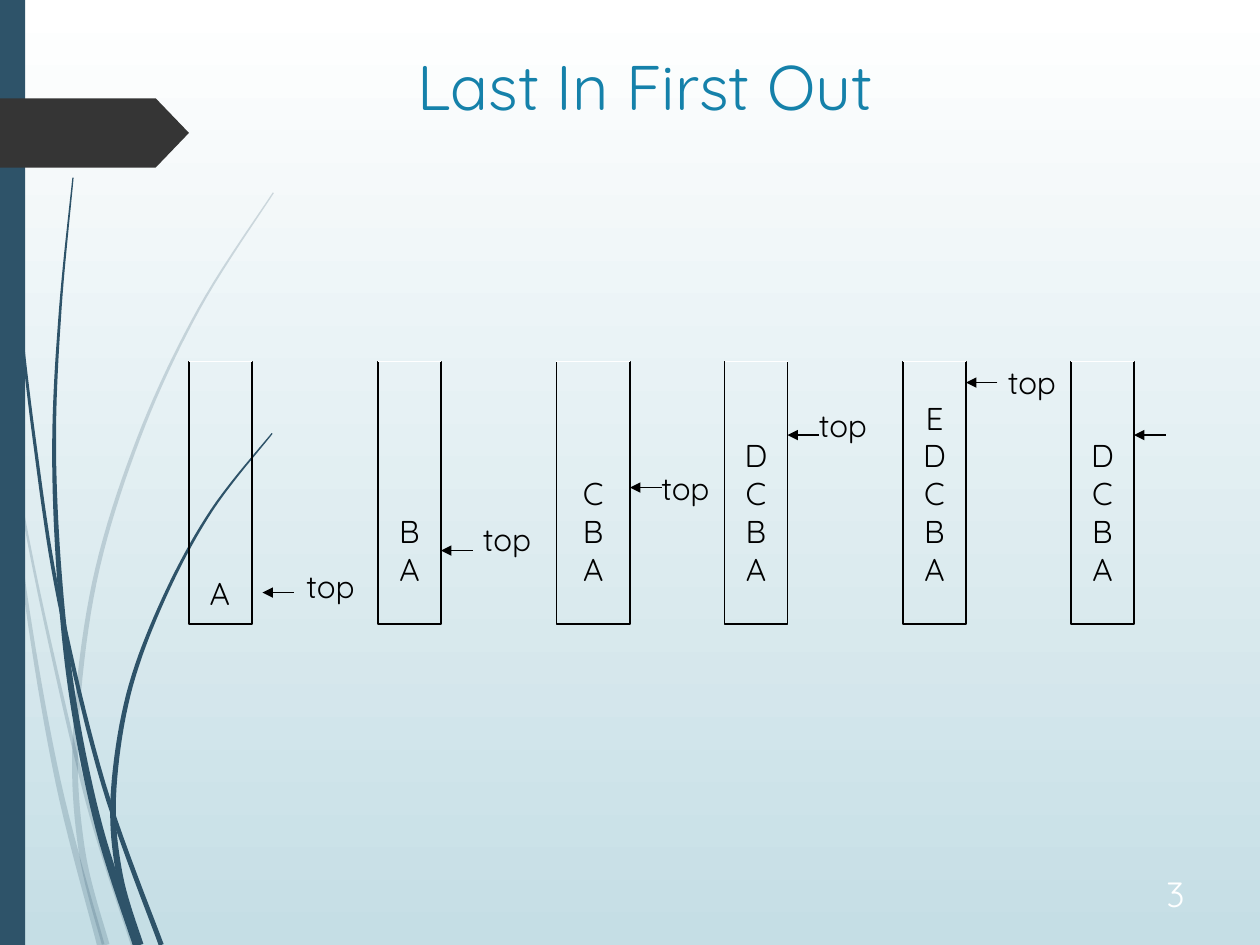
from math import hypot

from lxml.etree import SubElement
from pptx import Presentation
from pptx.dml.color import RGBColor
from pptx.enum.shapes import MSO_CONNECTOR, MSO_SHAPE
from pptx.enum.text import MSO_ANCHOR, MSO_AUTO_SIZE, PP_ALIGN
from pptx.oxml.ns import qn
from pptx.util import Inches, Pt

COLORS = {"navy": "2E5369", "tag": "353535", "title": "1581AA", "ink": "000000",
          "white": "FFFFFF", "number": "FEFFFF", "sky": "C5DEE5"}
FONT = "Quicksand"

# Grass blades: opacity in percent, width at the foot, waypoints from tip to foot (inches)
BLADES = [
    (20, 0.04, [(0, 2.9), (0.18, 4.05), (0.42, 5.21), (0.72, 6.45), (1.06, 7.5)]),
    (20, 0.06, [(0.08, 3.5), (0.2, 4.7), (0.46, 6.2), (0.8, 7.5)]),
    (20, 0.06, [(2.17, 1.53), (1.58, 2.45), (1.1, 3.48), (0.75, 4.62), (0.6, 5.84),
                (0.65, 6.75), (0.84, 7.5)]),
    (100, 0.04, [(0.03, 0), (0.05, 1.1), (0.14, 2.33), (0.28, 3.55), (0.47, 4.77),
                 (0.82, 6.22), (1.28, 7.5)]),
    (100, 0.07, [(0.58, 1.41), (0.48, 2.44), (0.43, 3.49), (0.47, 4.55), (0.58, 5.56),
                 (0.79, 6.58), (1.09, 7.5)]),
    (100, 0.06, [(2.16, 3.44), (1.68, 4.05), (1.3, 4.75), (1.02, 5.51), (0.9, 6.32),
                 (0.95, 6.95), (1.11, 7.5)]),
]
TIP_WIDTH = 0.01
STEPS = 10  # curve samples between two waypoints

# Stack diagram on a grid of twelfths of an inch, rows counted from STACK_TOP
STACK_TOP, STACK_ROWS, ARROW_COLUMNS = 2.87, 25, 3
STACKS = [
    {"column": 18, "columns": 6, "arrow_row": 22, "gap": 1, "label": (4, 19)},
    {"column": 36, "columns": 6, "arrow_row": 18, "items": "BA", "label": (2.8, 14.5)},
    {"column": 53, "columns": 7, "arrow_row": 12, "items": "CBA", "label": (1.8, 9.6)},
    {"column": 69, "columns": 6, "arrow_row": 7, "items": "DCBA", "label": (1.8, 3.6)},
    {"column": 86, "columns": 6, "arrow_row": 2, "items": "EDCBA", "label": (2.8, -0.5)},
    {"column": 102, "columns": 6, "arrow_row": 7, "items": "DCBA"},
]
FIRST_ITEM = (18.8, 19.6)  # column, row of the lone A in the first stack


def rgb(name):
    return RGBColor.from_string(COLORS[name])


def column_x(column):
    return Inches(column / 12)


def row_y(row):
    return Inches(STACK_TOP + row / 12)


def paint(shape, color):
    shape.shadow.inherit = False
    shape.fill.solid()
    shape.fill.fore_color.rgb = rgb(color)
    shape.line.fill.background()


def smooth_curve(waypoints):
    """Sample a Catmull-Rom spline that passes through every waypoint."""
    padded = [waypoints[0], *waypoints, waypoints[-1]]
    curve = []
    for before, start, end, after in zip(padded, padded[1:], padded[2:], padded[3:]):
        for step in range(STEPS):
            t = step / STEPS
            curve.append(tuple(
                b + ((c - a) * t + (2 * a - 5 * b + 4 * c - d) * t ** 2
                     + (3 * b - a - 3 * c + d) * t ** 3) / 2
                for a, b, c, d in zip(before, start, end, after)))
    return curve + [waypoints[-1]]


def add_blade(slide, opacity, foot_width, waypoints):
    """Draw a curve that widens evenly from its tip to its foot."""
    curve = smooth_curve(waypoints)
    last = len(curve) - 1
    left, right = [], []
    for index, (x, y) in enumerate(curve):
        (x0, y0), (x1, y1) = curve[max(index - 1, 0)], curve[min(index + 1, last)]
        half = (TIP_WIDTH + (foot_width - TIP_WIDTH) * index / last) / 2
        scale = half / hypot(x1 - x0, y1 - y0)
        shift_x, shift_y = (y1 - y0) * scale, (x0 - x1) * scale
        left.append((Inches(x - shift_x), Inches(y - shift_y)))
        right.append((Inches(x + shift_x), Inches(y + shift_y)))
    outline = left + right[::-1]
    builder = slide.shapes.build_freeform(*outline[0])
    builder.add_line_segments(outline[1:], close=True)
    blade = builder.convert_to_shape()
    paint(blade, "navy")
    if opacity < 100:
        tint = blade._element.spPr.find(".//" + qn("a:srgbClr"))
        SubElement(tint, qn("a:alpha"), val=str(opacity * 1000))


def write(frame, lines, size, color, align):
    for index, line in enumerate(lines):
        para = frame.paragraphs[0] if index == 0 else frame.add_paragraph()
        para.alignment = align
        span = para.add_run()
        span.text = line
        span.font.name, span.font.size = FONT, Pt(size)
        span.font.color.rgb = rgb(color)


def add_text(slide, place, text, size, color, align,
             anchor=MSO_ANCHOR.TOP, wrap=True):
    frame = slide.shapes.add_textbox(*place).text_frame
    frame.word_wrap, frame.vertical_anchor = wrap, anchor
    frame.auto_size = MSO_AUTO_SIZE.NONE if wrap else MSO_AUTO_SIZE.SHAPE_TO_FIT_TEXT
    write(frame, [text], size, color, align)


def add_mark(slide, text, column, row, width):
    """Place a short unwrapped text on the stack grid."""
    place = column_x(column), row_y(row), Inches(width), Inches(0.5)
    add_text(slide, place, text, 18, "ink", PP_ALIGN.LEFT, wrap=False)


def add_line(slide, start, end, row, color, arrow=False):
    line = slide.shapes.add_connector(MSO_CONNECTOR.STRAIGHT, column_x(start),
                                      row_y(row), column_x(end), row_y(row))
    line.line.color.rgb, line.line.width = rgb(color), Pt(0.75)
    if arrow:
        SubElement(line._element.spPr.find(qn("a:ln")), qn("a:tailEnd"), type="triangle")
    SubElement(line._element.spPr, qn("a:effectLst"))


def add_stack(slide, column, columns, arrow_row, items="", gap=0, label=None):
    """Draw an open-topped box of items, with an arrow at its top element."""
    right = column + columns
    box = slide.shapes.add_shape(MSO_SHAPE.RECTANGLE, column_x(column), row_y(0),
                                 column_x(columns), column_x(STACK_ROWS))
    box.shadow.inherit = False
    box.fill.background()
    box.line.color.rgb, box.line.width = rgb("ink"), Pt(0.75)
    frame = box.text_frame
    frame.word_wrap, frame.vertical_anchor = False, MSO_ANCHOR.BOTTOM
    frame.margin_bottom = Inches(0.29)
    write(frame, items, 18, "ink", PP_ALIGN.CENTER)
    add_line(slide, column, right, 0, "white")
    tip = right + gap
    add_line(slide, tip + ARROW_COLUMNS, tip, arrow_row, "ink", arrow=True)
    if label:
        offset, row = label
        add_mark(slide, "top", right + offset, row, 0.63)


def add_backdrop(slide, height):
    fill = slide.background.fill
    fill.gradient()
    fill.gradient_angle = 270
    for stop, color in zip(fill.gradient_stops, ("white", "sky")):
        stop.color.rgb = rgb(color)
    for blade in BLADES:
        add_blade(slide, *blade)
    band = slide.shapes.add_shape(MSO_SHAPE.RECTANGLE, 0, 0, Inches(0.2), height)
    paint(band, "navy")
    tag = slide.shapes.add_shape(MSO_SHAPE.PENTAGON, 0, Inches(0.78),
                                 Inches(1.5), Inches(0.55))
    tag.adjustments[0] = 0.48
    paint(tag, "tag")


def main():
    deck = Presentation()
    deck.slide_width, deck.slide_height = Inches(10), Inches(7.5)
    page = deck.slides.add_slide(deck.slide_layouts[6])
    add_backdrop(page, deck.slide_height)

    title_place = [Inches(n) for n in (0.83, 0.33, 8.58, 0.75)]
    add_text(page, title_place, "Last In First Out", 36, "title", PP_ALIGN.CENTER)
    number_place = [Inches(n) for n in (7.17, 6.83, 2.33, 0.52)]
    add_text(page, number_place, "3", 20, "number", PP_ALIGN.RIGHT, MSO_ANCHOR.MIDDLE)

    for stack in STACKS:
        add_stack(page, **stack)
    add_mark(page, "A", *FIRST_ITEM, 0.44)
    deck.save("out.pptx")


if __name__ == "__main__":
    main()
